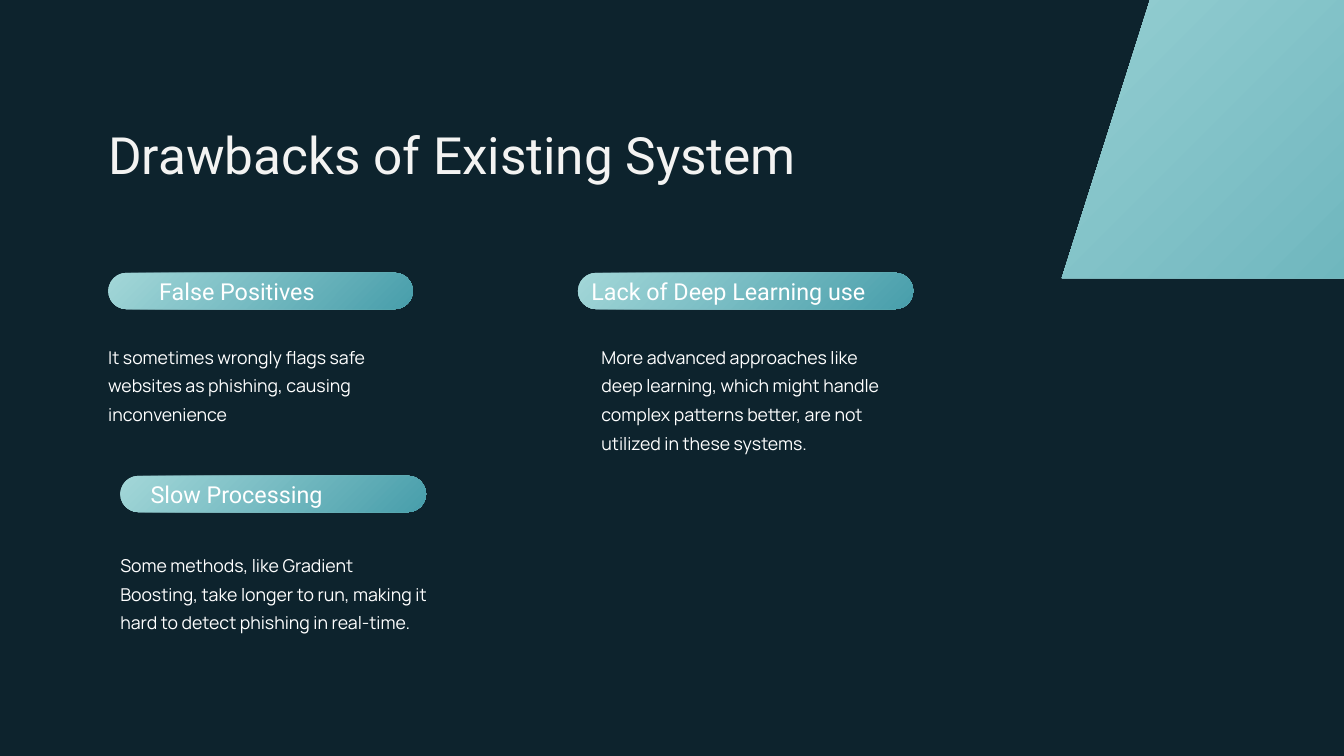
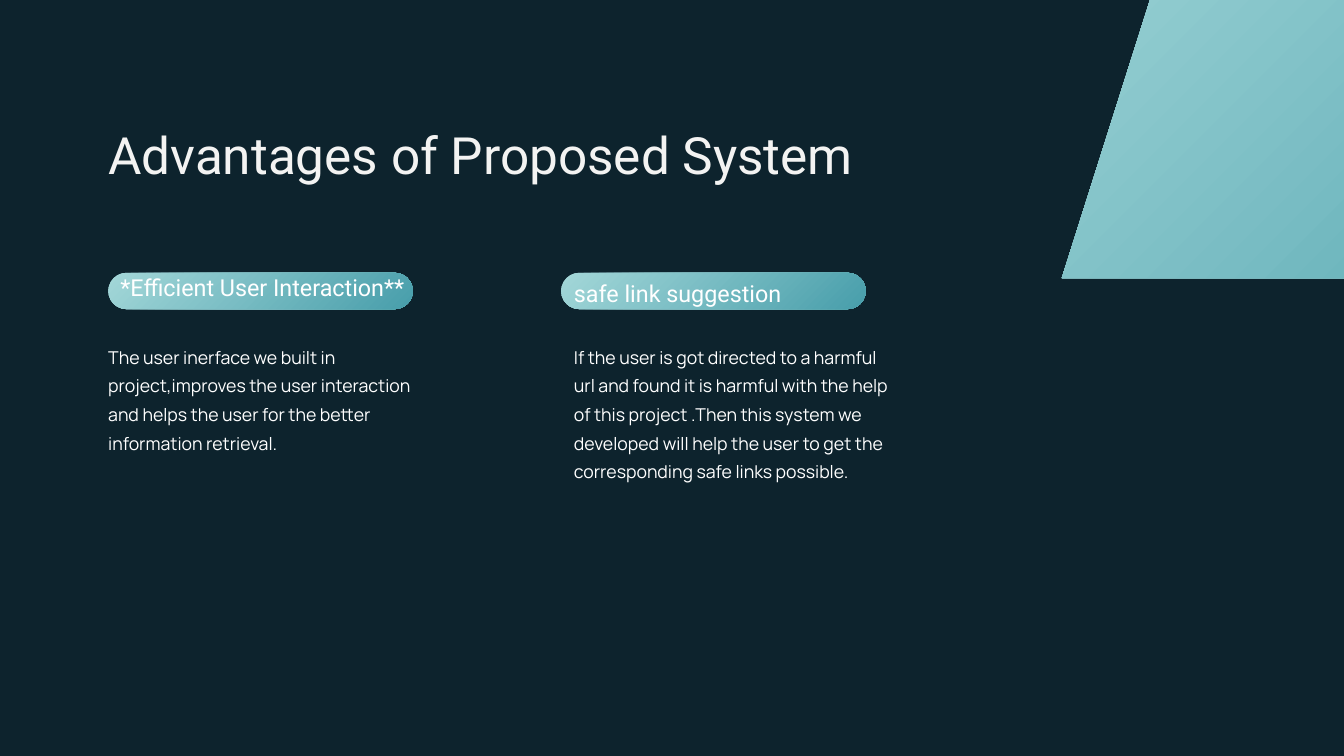
from pptx import Presentation
from pptx.dml.color import RGBColor
from pptx.enum import shapes, text
from pptx.util import Pt

NIGHT, WHITE, TITLE_WHITE = "0D232D", "FFFFFF", "F3F3F2"
TEALS = ("A3D7D8", "489EAB")
PILL_HEIGHT = 38.9
HEADING_HEIGHT = 33.8
BODY_ROW = 30

# Each card: pill (left, top, width), heading (left, top, width, words),
# body (left, top, width, rows, words)
PAGES = [
    ("Drawbacks of Existing System", [
        ((116, 292.3, 326.3),
         (170.6, 291.6, 271.4, "False Positives"),
         (116, 363.6, 342.7, 3,
          "It sometimes wrongly flags safe websites as phishing, causing "
          "inconvenience")),
        ((128.9, 509.8, 327.6),
         (161.3, 509.8, 281.5, "Slow Processing"),
         (128.9, 586.8, 331.9, 4,
          "Some methods, like Gradient Boosting, take longer to run, making it "
          "hard to detect phishing in real-time.")),
        ((619.2, 292.3, 359.3),
         (633.6, 292.3, 344.9, "Lack of Deep Learning use"),
         (644.4, 363.6, 308.2, 4,
          "More advanced approaches like deep learning, which might handle "
          "complex patterns better, are not utilized in these systems.")),
    ]),
    ("Advantages of Proposed System", [
        ((116, 292.3, 326.3),
         (128.9, 288, 330.5, "*Efficient User Interaction**"),
         (116, 363.6, 342.7, 4,
          "The user inerface we built in project,improves the user interaction "
          "and helps the user for the better information retrieval.")),
        ((601.2, 292.3, 326.3),
         (614.9, 293.8, 330.5, "safe link suggestion"),
         (614.9, 363.6, 344.9, 6,
          "If the user is got directed to a harmful url and found it is harmful "
          "with the help of this project .Then this system we developed will "
          "help the user to get the corresponding safe links possible.")),
    ]),
]


def write(box, words, font, size, line, color):
    """Fill a box with one left-aligned paragraph, without insets."""
    frame = box.text_frame
    frame.text = words
    frame.word_wrap = True
    frame.auto_size = text.MSO_AUTO_SIZE.NONE
    frame.vertical_anchor = text.MSO_ANCHOR.TOP
    frame.margin_left = frame.margin_right = 0
    frame.margin_top = frame.margin_bottom = 0
    para = frame.paragraphs[0]
    para.alignment = text.PP_ALIGN.LEFT
    para.line_spacing = Pt(line)
    para.space_before = Pt(0)
    span = para.runs[0]
    span.font.name = font
    span.font.size = Pt(size)
    span.font.color.rgb = RGBColor.from_string(color)


def add_teal(page, preset, adjustment, *place):
    """Add a borderless shape with the diagonal teal gradient."""
    shape = page.shapes.add_shape(preset, *map(Pt, place))
    shape.adjustments[0] = adjustment
    shape.shadow.inherit = False
    shape.line.fill.background()
    shape.fill.gradient()
    shape.fill.gradient_angle = 315
    for stop, color in zip(shape.fill.gradient_stops, TEALS):
        stop.color.rgb = RGBColor.from_string(color)


deck = Presentation()
deck.slide_width, deck.slide_height = Pt(1440), Pt(810)
backdrop = deck.slide_master.background.fill
backdrop.solid()
backdrop.fore_color.rgb = RGBColor.from_string(NIGHT)

for heading, cards in PAGES:
    page = deck.slides.add_slide(deck.slide_layouts.get_by_name("Title Only"))
    title = page.shapes.title
    title.left, title.top = Pt(116), Pt(134.6)
    title.width, title.height = Pt(862), Pt(63.4)
    write(title, heading, "Roboto", 55, 63.8, TITLE_WHITE)

    for pill, (left, top, width, label), body in cards:
        add_teal(page, shapes.MSO_SHAPE.ROUNDED_RECTANGLE, 0.5, *pill, PILL_HEIGHT)
        box = page.shapes.add_textbox(Pt(left), Pt(top), Pt(width), Pt(HEADING_HEIGHT))
        write(box, label, "Roboto", 25, 35, WHITE)

        left, top, width, rows, words = body
        box = page.shapes.add_textbox(Pt(left), Pt(top), Pt(width), Pt(rows * BODY_ROW))
        write(box, words, "Manrope", 19, 30.6, WHITE)

    # Slanted corner, bleeding past the top and right edges
    add_teal(page, shapes.MSO_SHAPE.PARALLELOGRAM, 0.317, 1137.6, -208.8, 910.8, 506.9)

deck.save("out.pptx")
